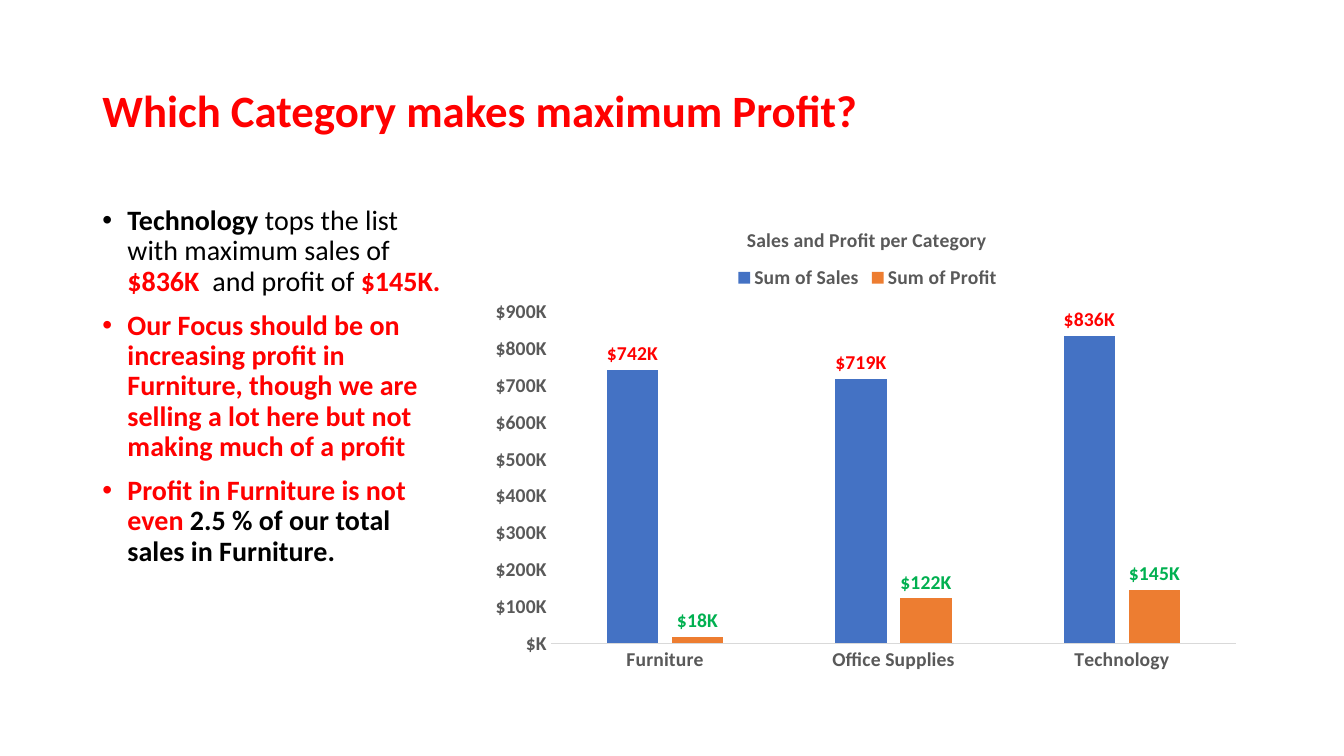
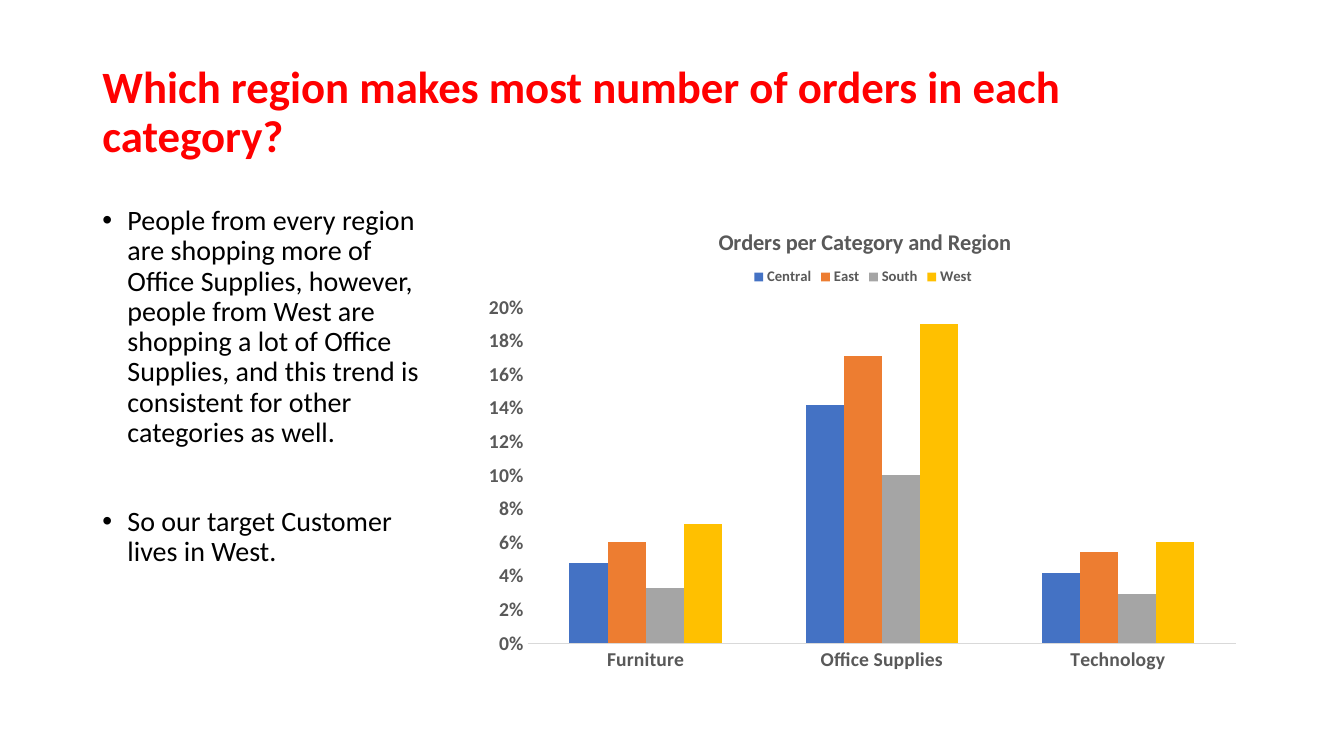
import lxml.etree
import pptx
import pptx.chart.data
import pptx.dml.color
import pptx.enum.chart
import pptx.enum.text
import pptx.oxml.ns
import pptx.util

Pt = pptx.util.Pt
qn = pptx.oxml.ns.qn

FONT = "Calibri"
COLORS = {
    "red": "FF0000", "black": "000000", "gray": "595959", "rule": "D9D9D9",
    "green": "00B050", "blue": "4472C4", "orange": "ED7D31",
    "silver": "A5A5A5", "gold": "FFC000",
}
LEFT, CONTENT_WIDTH = 66, 828
TITLE_BOX = (LEFT, 29, CONTENT_WIDTH, 104)
CONTENT_TOP, CONTENT_HEIGHT = 144, 343
COLUMN_GAP = 15
CATEGORIES = ("Furniture", "Office Supplies", "Technology")
THOUSANDS = '"$"#,###,"K"'

SLIDES = [
    {
        "title": "Which Category makes maximum Profit?",
        "body_width": 263,
        "space_before": 10,
        "points": [
            [("Technology ", "black", True),
             ("tops the list with maximum sales of ", "black", False),
             ("$836K  ", "red", True),
             ("and profit of ", "black", False),
             ("$145K.", "red", True)],
            [("Our Focus should be on increasing profit in Furniture, though we are "
              "selling a lot here but not making much of a profit", "red", True)],
            [("Profit in Furniture is not even ", "red", True),
             ("2.5 % of our total sales in Furniture.", "black", True)],
        ],
        "chart": {
            "title": "Sales and Profit per Category",
            "title_size": 14, "legend_size": 14,
            "format": THOUSANDS, "maximum": 900000, "step": 100000, "overlap": -27,
            "title_at": (0.34, 0.045), "legend_at": (0.325, 0.125),
            "plot_at": (0.09, 0.23, 0.89, 0.69),
            "series": [
                ("Sum of Sales", "blue", (742000, 719000, 836000), "red"),
                ("Sum of Profit", "orange", (18000, 122000, 145000), "green"),
            ],
        },
    },
    {
        "title": "Which region makes most number of orders in each category?",
        "body_width": 257,
        "space_before": 42,
        "points": [
            [("People from every region are shopping more of Office Supplies, however, "
              "people from West are shopping a lot of Office Supplies, and this trend is "
              "consistent for other categories as well.", "black", False)],
            [("So our target Customer lives in West.", "black", False)],
        ],
        "chart": {
            "title": "Orders per Category and Region",
            "title_size": 16, "legend_size": 10.5,
            "format": "0%", "maximum": 0.2, "step": 0.02, "overlap": 0,
            "title_at": (0.31, 0.045), "legend_at": (0.355, 0.13),
            "plot_at": (0.07, 0.22, 0.91, 0.7),
            "series": [
                ("Central", "blue", (0.048, 0.142, 0.042), None),
                ("East", "orange", (0.06, 0.171, 0.054), None),
                ("South", "silver", (0.033, 0.1, 0.029), None),
                ("West", "gold", (0.071, 0.19, 0.06), None),
            ],
        },
    },
]


def rgb(name):
    """Return the named colour."""
    return pptx.dml.color.RGBColor.from_string(COLORS[name])


def style_font(font, size, color, bold=True):
    """Apply the shared typeface with a size, colour and weight."""
    font.name, font.size, font.bold = FONT, Pt(size), bold
    font.color.rgb = rgb(color)


def add_heading(slide, text, box):
    """Place and format the slide title in its box."""
    heading = slide.shapes.title
    heading.left, heading.top, heading.width, heading.height = map(Pt, box)
    frame = heading.text_frame
    frame.text = text
    frame.word_wrap = True
    frame.auto_size = pptx.enum.text.MSO_AUTO_SIZE.NONE
    frame.vertical_anchor = pptx.enum.text.MSO_ANCHOR.MIDDLE
    line = frame.paragraphs[0]
    line.alignment = pptx.enum.text.PP_ALIGN.LEFT
    line.line_spacing = 0.9
    style_font(line.runs[0].font, 32, "red")


def add_points(slide, points, space_before, box):
    """Write the bulleted findings in their box."""
    frame = slide.shapes.add_textbox(*map(Pt, box)).text_frame
    frame.word_wrap = True
    for index, parts in enumerate(points):
        point = frame.add_paragraph() if index else frame.paragraphs[0]
        point.line_spacing = 0.9
        point.space_before = Pt(space_before if index else 10)
        properties = point._p.get_or_add_pPr()
        properties.set("marL", str(Pt(18)))
        properties.set("indent", str(-Pt(18)))
        lxml.etree.SubElement(properties, qn("a:buFont"), typeface="Arial")
        lxml.etree.SubElement(properties, qn("a:buChar"), char="•")
        for text, color, bold in parts:
            run = point.add_run()
            run.text = text
            style_font(run.font, 20, color, bold)


def set_layout(element, index, place):
    """Fix a chart part at fractions of the chart area."""
    for old in element.findall(qn("c:layout")):
        element.remove(old)
    layout = lxml.etree.Element(qn("c:layout"))
    manual = lxml.etree.SubElement(layout, qn("c:manualLayout"))
    if len(place) == 4:
        lxml.etree.SubElement(manual, qn("c:layoutTarget"), val="inner")
    for mode in ("xMode", "yMode"):
        lxml.etree.SubElement(manual, qn("c:" + mode), val="edge")
    for key, value in zip("xywh", place):
        lxml.etree.SubElement(manual, qn("c:" + key), val=str(value))
    element.insert(index, layout)


def style_axes(chart, details):
    """Format both axes and the value scale."""
    category, value = chart.category_axis, chart.value_axis
    for axis in (category, value):
        axis.has_major_gridlines = False
        axis.major_tick_mark = pptx.enum.chart.XL_TICK_MARK.NONE
        axis.minor_tick_mark = pptx.enum.chart.XL_TICK_MARK.NONE
        style_font(axis.tick_labels.font, 14, "gray")
    category.format.line.color.rgb = rgb("rule")
    category.format.line.width = Pt(0.75)
    value.format.line.fill.background()
    value.minimum_scale, value.maximum_scale = 0, details["maximum"]
    value.major_unit = details["step"]
    value.tick_labels.number_format = details["format"]
    value.tick_labels.number_format_is_linked = False


def style_series(plot, details):
    """Colour the columns and label those that carry values."""
    plot.gap_width, plot.overlap = 219, details["overlap"]
    plot.vary_by_categories = False
    for columns, (_, color, _, label_color) in zip(plot.series, details["series"]):
        columns.format.fill.solid()
        columns.format.fill.fore_color.rgb = rgb(color)
        columns.invert_if_negative = False
        if label_color:
            labels = columns.data_labels
            labels.show_value = True
            labels.position = pptx.enum.chart.XL_LABEL_POSITION.OUTSIDE_END
            labels.number_format = details["format"]
            labels.number_format_is_linked = False
            style_font(labels.font, 14, label_color)


def add_column_chart(slide, details, box):
    """Draw the clustered column chart in its box."""
    data = pptx.chart.data.CategoryChartData(number_format=details["format"])
    data.categories = CATEGORIES
    for name, _, values, _ in details["series"]:
        data.add_series(name, values)
    chart = slide.shapes.add_chart(
        pptx.enum.chart.XL_CHART_TYPE.COLUMN_CLUSTERED, *map(Pt, box), data).chart
    style_font(chart.font, 10, "black", False)
    chart.has_title = True
    caption = chart.chart_title.text_frame
    caption.text = details["title"]
    style_font(caption.paragraphs[0].runs[0].font, details["title_size"], "gray")
    chart.chart_title.include_in_layout = False
    chart.has_legend = True
    chart.legend.position = pptx.enum.chart.XL_LEGEND_POSITION.TOP
    chart.legend.include_in_layout = False
    style_font(chart.legend.font, details["legend_size"], "gray")
    style_axes(chart, details)
    style_series(chart.plots[0], details)
    chart_area = chart._chartSpace.chart
    set_layout(chart_area.find(qn("c:title")), 1, details["title_at"])
    set_layout(chart_area.find(qn("c:legend")), 1, details["legend_at"])
    set_layout(chart_area.find(qn("c:plotArea")), 0, details["plot_at"])


def add_finding_slide(deck, content):
    """Build a slide with a title, findings and a chart side by side."""
    slide = deck.slides.add_slide(deck.slide_layouts[5])
    add_heading(slide, content["title"], TITLE_BOX)
    body_width = content["body_width"]
    add_points(slide, content["points"], content["space_before"],
               (LEFT, CONTENT_TOP, body_width, CONTENT_HEIGHT))
    offset = body_width + COLUMN_GAP
    add_column_chart(slide, content["chart"],
                     (LEFT + offset, CONTENT_TOP, CONTENT_WIDTH - offset, CONTENT_HEIGHT))


def main():
    """Build and save the presentation."""
    deck = pptx.Presentation()
    deck.slide_width, deck.slide_height = Pt(960), Pt(540)
    for content in SLIDES:
        add_finding_slide(deck, content)
    deck.save("out.pptx")


if __name__ == "__main__":
    main()
